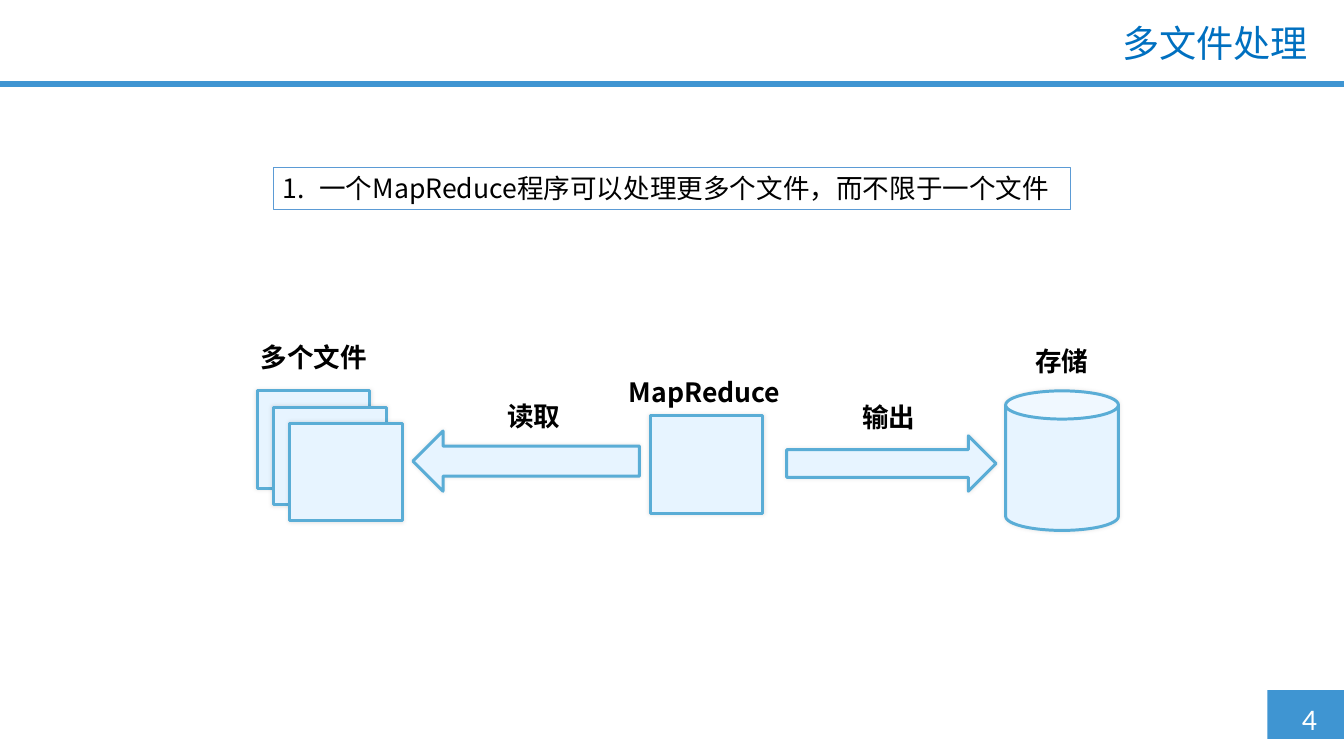
from dataclasses import dataclass

from lxml import etree
from pptx import Presentation
from pptx.dml.color import RGBColor
from pptx.enum.shapes import MSO_SHAPE
from pptx.enum.text import MSO_ANCHOR, MSO_AUTO_SIZE, PP_ALIGN
from pptx.oxml.ns import qn
from pptx.util import Inches, Pt

RECTANGLE = MSO_SHAPE.RECTANGLE
CAN = MSO_SHAPE.CAN
LEFT_ARROW = MSO_SHAPE.LEFT_ARROW
RIGHT_ARROW = MSO_SHAPE.RIGHT_ARROW
MIDDLE = MSO_ANCHOR.MIDDLE
NO_AUTOFIT = MSO_AUTO_SIZE.NONE
LEFT = PP_ALIGN.LEFT
RIGHT = PP_ALIGN.RIGHT


@dataclass(frozen=True)
class Theme:
    """Colours, fonts and type sizes of the slide."""

    bar: str = "3F95D2"
    title: str = "0070C0"
    border: str = "5B9BD5"
    node_fill: str = "E7F4FF"
    node_line: str = "5AADD6"
    white: str = "FFFFFF"
    black: str = "000000"
    text_font: str = "Noto Sans CJK SC"
    number_font: str = "Calibri"
    title_size: float = 28
    text_size: float = 20
    number_size: float = 22.5


THEME = Theme()


def place(shape, box):
    """Move a shape to a box of left, top, width and height in inches."""
    shape.left, shape.top, shape.width, shape.height = map(Inches, box)


def write(shape, text, size, colour, font=THEME.text_font, bold=False, align=LEFT, wrap=False):
    """Set and format one paragraph and return it."""
    frame = shape.text_frame
    frame.text = text
    frame.auto_size = NO_AUTOFIT
    frame.word_wrap = wrap
    frame.vertical_anchor = MIDDLE
    para = frame.paragraphs[0]
    para.alignment = align
    para.space_before = Pt(0)
    span = para.runs[0]
    span.font.size = Pt(size)
    span.font.bold = bold
    span.font.name = font
    span.font.color.rgb = RGBColor.from_string(colour)
    etree.SubElement(span.font._element, qn("a:ea"), typeface=font)
    return para


def paint(shape, fill, line=None, width=1):
    """Give a shape its fill and its outline, if any."""
    shape.fill.solid()
    shape.fill.fore_color.rgb = RGBColor.from_string(fill)
    if line:
        shape.line.color.rgb = RGBColor.from_string(line)
        shape.line.width = Pt(width)
    else:
        shape.line.fill.background()


def add_bar(page, box):
    """Add a plain coloured band."""
    bar = page.shapes.add_shape(RECTANGLE, *map(Inches, box))
    bar.shadow.inherit = False
    paint(bar, THEME.bar)


def add_label(page, text, box):
    """Add a bold caption."""
    label = page.shapes.add_textbox(*map(Inches, box))
    write(label, text, THEME.text_size, THEME.black, bold=True)


def add_node(page, kind, box):
    """Add a pale outlined shape with a faint glow-like shadow."""
    node = page.shapes.add_shape(kind, *map(Inches, box))
    paint(node, THEME.node_fill, THEME.node_line, 2.25)
    node.shadow.inherit = False
    effects = node._element.spPr.find(qn("a:effectLst"))
    shadow = etree.SubElement(effects, qn("a:outerShdw"), blurRad=str(Pt(3)), dist="0", dir="0")
    colour = etree.SubElement(shadow, qn("a:srgbClr"), val=THEME.black)
    etree.SubElement(colour, qn("a:alpha"), val="10000")


def add_header(page, box):
    """Set the right-aligned title above a full-width rule."""
    left, top, width, height = box
    title = page.shapes.title
    place(title, (left + 9.47, top + 0.19, 4.31, 0.57))
    para = write(title, "多文件处理", THEME.title_size, THEME.title, align=RIGHT, wrap=True)
    para.line_spacing = 0.9
    add_bar(page, (left, top + height - 0.06, width, 0.06))


def add_statement(page, box):
    """Fill the body placeholder with the framed numbered sentence."""
    body = page.placeholders[1]
    place(body, box)
    paint(body, THEME.white, THEME.border)
    text = "一个MapReduce程序可以处理更多个文件，而不限于一个文件"
    para = write(body, text, THEME.text_size, THEME.black, wrap=True)
    body.text_frame.margin_right = Inches(0)
    properties = para._p.get_or_add_pPr()
    properties.set("marL", str(Inches(0.38)))
    properties.set("indent", str(Inches(-0.38)))
    etree.SubElement(properties, qn("a:buFont"), typeface="+mj-lt")
    etree.SubElement(properties, qn("a:buAutoNum"), type="arabicPeriod")


def add_flow(page, box):
    """Draw files, program and storage with the arrows between them."""
    left, top, width, height = box
    node_width, node_height, step = 1.18, 1.02, 0.17
    for index in range(3):
        offset = index * step
        add_node(page, RECTANGLE, (left + offset, top + 0.58 + offset, node_width, node_height))
    nodes = (
        (RECTANGLE, (4.11, 0.84, node_width, node_height)),
        (LEFT_ARROW, (1.63, 1, 2.37, 0.63)),
        (RIGHT_ARROW, (5.54, 1.05, 2.19, 0.58)),
        (CAN, (width - node_width, 0.58, node_width, height - 0.58)),
    )
    for kind, (x, y, *size) in nodes:
        add_node(page, kind, (left + x, top + y, *size))
    labels = (
        ("多个文件", -0.06, 0, 1.33),
        ("MapReduce", 3.79, 0.37, 1.87),
        ("读取", 2.52, 0.62, 0.76),
        ("输出", 6.23, 0.63, 0.76),
        ("存储", 8.04, 0.05, 0.76),
    )
    for text, x, y, label_width in labels:
        add_label(page, text, (left + x, top + y, label_width, 0.44))


def add_page_number(page, box):
    """Draw the corner block with the page number."""
    left, top, _, _ = box
    add_bar(page, box)
    number = page.shapes.add_textbox(*map(Inches, (left + 0.26, top + 0.06, 0.65, 0.48)))
    write(number, "4", THEME.number_size, THEME.white, font=THEME.number_font)


def main():
    """Build the slide and save it."""
    deck = Presentation()
    deck.slide_width, deck.slide_height = Inches(14.06), Inches(7.91)
    page = deck.slides.add_slide(deck.slide_layouts[1])
    add_header(page, (0, 0, 14.06, 0.91))
    add_statement(page, (2.86, 1.75, 8.34, 0.44))
    add_flow(page, (2.69, 3.51, 9.01, 2.04))
    add_page_number(page, (13.26, 7.22, 0.8, 0.51))
    deck.save("out.pptx")


if __name__ == "__main__":
    main()
